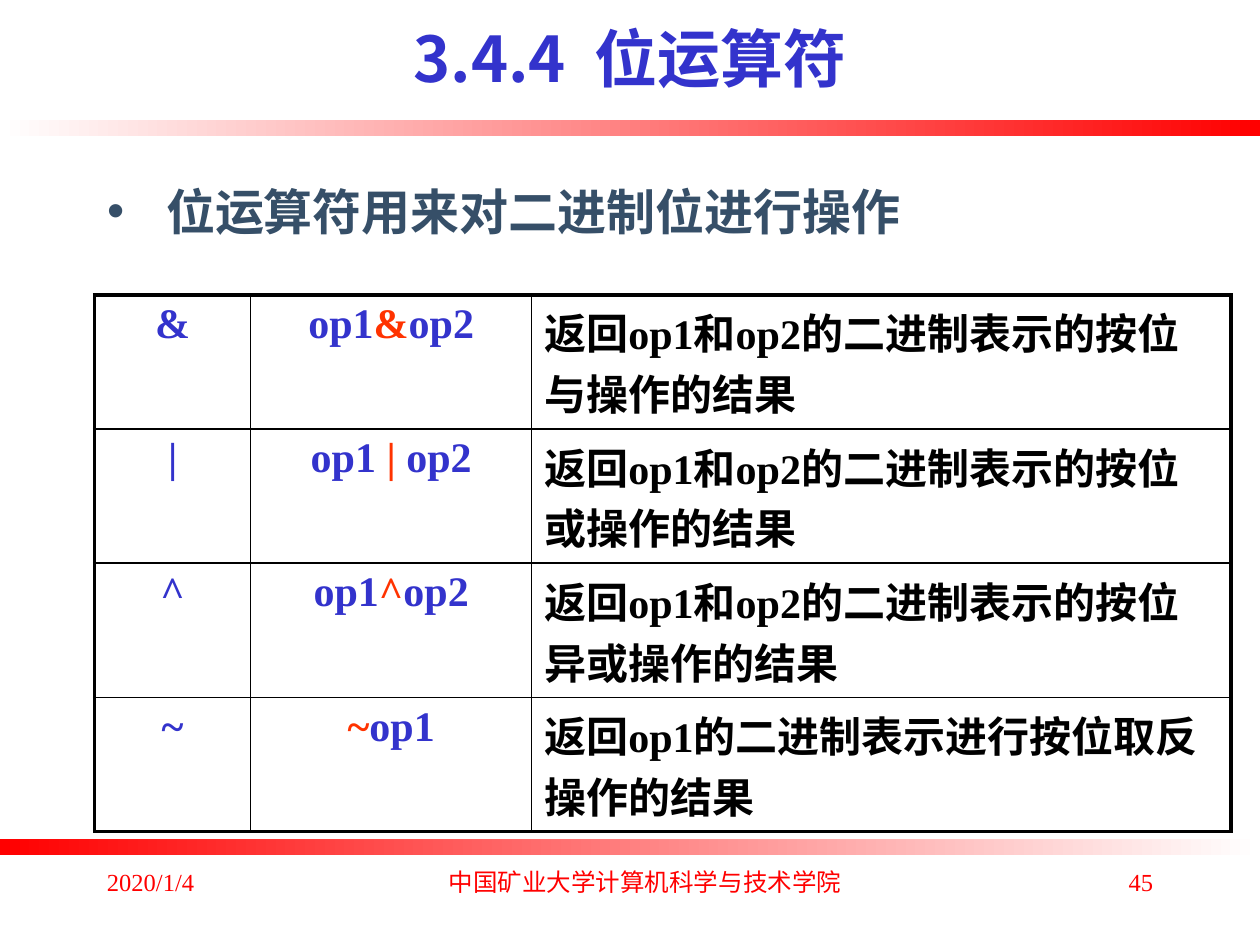
from dataclasses import dataclass

import pptx
import pptx.dml.color
import pptx.enum.shapes
import pptx.enum.text
import pptx.oxml
import pptx.oxml.ns
import pptx.util

Inches = pptx.util.Inches
Pt = pptx.util.Pt
RGBColor = pptx.dml.color.RGBColor
ALIGN = pptx.enum.text.PP_ALIGN
ANCHOR = pptx.enum.text.MSO_ANCHOR
qn = pptx.oxml.ns.qn

WHITE = RGBColor(0xFF, 0xFF, 0xFF)
BLACK = RGBColor(0, 0, 0)
RED = RGBColor(0xFF, 0, 0)
ORANGE = RGBColor(0xFF, 0x33, 0)
BLUE = RGBColor(0x33, 0x33, 0xCC)
SLATE = RGBColor(0x36, 0x4F, 0x68)
CJK = "Noto Sans CJK SC"
LATIN = "Times New Roman"

TITLE = {"name": CJK, "size": Pt(36), "bold": True}
BODY = {"name": CJK, "size": Pt(28), "bold": True}
CELL = {"name": LATIN, "size": Pt(24), "bold": True}


@dataclass
class Bar:
    top: float
    start: RGBColor
    end: RGBColor


@dataclass
class Footer:
    text: str
    left: float
    width: float
    font: str
    align: int


@dataclass
class Operator:
    symbol: str
    usage: list[tuple[str, RGBColor]]
    meaning: str


BARS = [Bar(0.95, WHITE, RED), Bar(6.66, RED, WHITE)]
FOOTERS = [
    Footer("2020/1/4", 0.75, 2.08, LATIN, ALIGN.LEFT),
    Footer("中国矿业大学计算机科学与技术学院", 3.42, 3.4, CJK, ALIGN.CENTER),
    Footer("45", 7.17, 2.08, LATIN, ALIGN.RIGHT),
]
OPERATORS = [
    Operator("&", [("op1", BLUE), ("&", ORANGE), ("op2", BLUE)],
             "返回op1和op2的二进制表示的按位与操作的结果"),
    Operator("|", [("op1 ", BLUE), ("| ", ORANGE), ("op2", BLUE)],
             "返回op1和op2的二进制表示的按位或操作的结果"),
    Operator("^", [("op1", BLUE), ("^", ORANGE), ("op2", BLUE)],
             "返回op1和op2的二进制表示的按位异或操作的结果"),
    Operator("~", [("~", ORANGE), ("op1", BLUE)],
             "返回op1的二进制表示进行按位取反操作的结果"),
]
COLS = [1.24, 2.23, 5.55]
TABLE_HEIGHT = 4.26


def add_run(p, text: str, color: RGBColor, fmt: dict) -> None:
    r = p.add_run()
    r.text = text
    for key, value in fmt.items():
        setattr(r.font, key, value)
    r.font.color.rgb = color
    ea = pptx.oxml.parse_xml(f'<a:ea {pptx.oxml.ns.nsdecls("a")} typeface="{CJK}"/>')
    r.font._element.find(qn("a:latin")).addnext(ea)


def place(sp, left: float, top: float, width: float, height: float) -> None:
    box = {"left": left, "top": top, "width": width, "height": height}
    for key, value in box.items():
        setattr(sp, key, Inches(value))


def add_bar(s, bar: Bar) -> None:
    sp = s.shapes.add_shape(pptx.enum.shapes.MSO_SHAPE.RECTANGLE,
                            0, Inches(bar.top), Inches(10), Inches(0.13))
    sp.shadow.inherit = False
    sp.line.fill.background()
    sp.fill.gradient()
    sp.fill.gradient_angle = 0
    for stop, color in zip(sp.fill.gradient_stops, (bar.start, bar.end)):
        stop.color.rgb = color
    s.shapes._spTree.insert(2, sp._element)


def add_footer(s, footer: Footer) -> None:
    sp = s.shapes.add_textbox(Inches(footer.left), Inches(6.83),
                              Inches(footer.width), Inches(0.5))
    tf = sp.text_frame
    tf.word_wrap = True
    p = tf.paragraphs[0]
    p.alignment = footer.align
    add_run(p, footer.text, RED, {"name": footer.font, "size": Pt(14)})


def set_borders(cell, row: int, col: int) -> None:
    outer = {"L": col == 0, "R": col == len(COLS) - 1,
             "T": row == 0, "B": row == len(OPERATORS) - 1}
    tcPr = cell._tc.get_or_add_tcPr()
    for side, is_outer in outer.items():
        width = Pt(2.25 if is_outer else 1)
        tcPr.append(pptx.oxml.parse_xml(
            f'<a:ln{side} {pptx.oxml.ns.nsdecls("a")} w="{width}">'
            f'<a:solidFill><a:srgbClr val="{BLACK}"/></a:solidFill></a:ln{side}>'))


def add_operator_table(s) -> None:
    frame = s.shapes.add_table(len(OPERATORS), len(COLS), Inches(0.75), Inches(2.34),
                               Inches(sum(COLS)), Inches(TABLE_HEIGHT))
    table = frame.table
    table.first_row = table.horz_banding = False
    for column, width in zip(table.columns, COLS):
        column.width = Inches(width)
    for i, op in enumerate(OPERATORS):
        table.rows[i].height = Inches(TABLE_HEIGHT / len(OPERATORS))
        contents = [[(op.symbol, BLUE)], op.usage, [(op.meaning, BLACK)]]
        for j, runs in enumerate(contents):
            cell = table.cell(i, j)
            set_borders(cell, i, j)
            cell.fill.solid()
            cell.fill.fore_color.rgb = WHITE
            p = cell.text_frame.paragraphs[0]
            p.alignment = ALIGN.LEFT if j == 2 else ALIGN.CENTER
            for text, color in runs:
                add_run(p, text, color, CELL)


def fill_title(sp) -> None:
    place(sp, 0.75, -0.17, 8.5, 1.25)
    tf = sp.text_frame
    tf.vertical_anchor = ANCHOR.MIDDLE
    tf.auto_size = pptx.enum.text.MSO_AUTO_SIZE.NONE
    p = tf.paragraphs[0]
    p.alignment = ALIGN.CENTER
    add_run(p, "3.4.4  位运算符", BLUE, TITLE)


def fill_body(sp) -> None:
    place(sp, 0.75, 1.39, 8.5, 5.23)
    tf = sp.text_frame
    tf.auto_size = pptx.enum.text.MSO_AUTO_SIZE.NONE
    p = tf.paragraphs[0]
    pPr = p._p.get_or_add_pPr()
    pPr.set("marL", str(Inches(0.38)))
    pPr.set("indent", str(Inches(-0.38)))
    pPr.append(pptx.oxml.parse_xml(
        f'<a:buChar {pptx.oxml.ns.nsdecls("a")} char="•"/>'))
    p.space_before = Pt(0)
    add_run(p, " 位运算符用来对二进制位进行操作", SLATE, BODY)


def main() -> None:
    prs = pptx.Presentation()
    prs.slide_width, prs.slide_height = Inches(10), Inches(7.5)
    s = prs.slides.add_slide(prs.slide_layouts[1])
    s.background.fill.solid()
    s.background.fill.fore_color.rgb = WHITE
    for bar in BARS:
        add_bar(s, bar)
    fill_title(s.shapes.title)
    fill_body(s.placeholders[1])
    for footer in FOOTERS:
        add_footer(s, footer)
    add_operator_table(s)
    prs.save("out.pptx")


if __name__ == "__main__":
    main()
